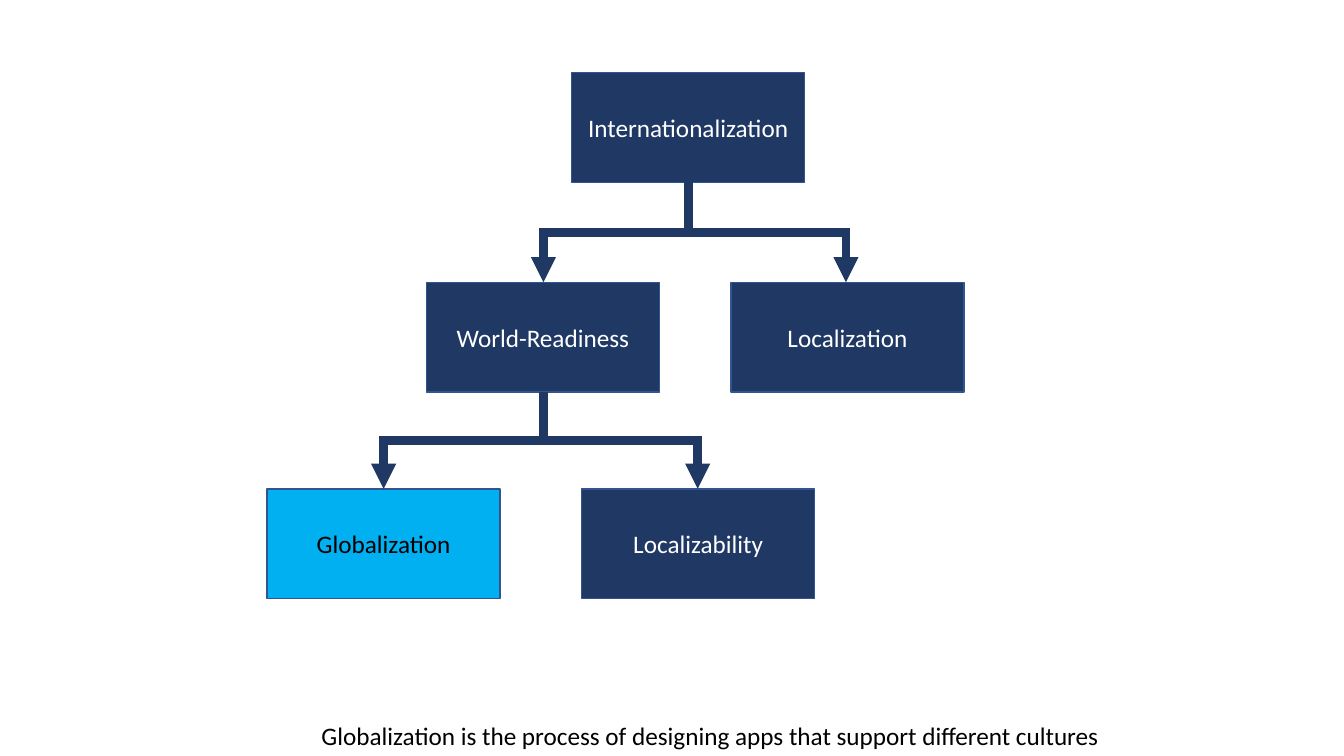
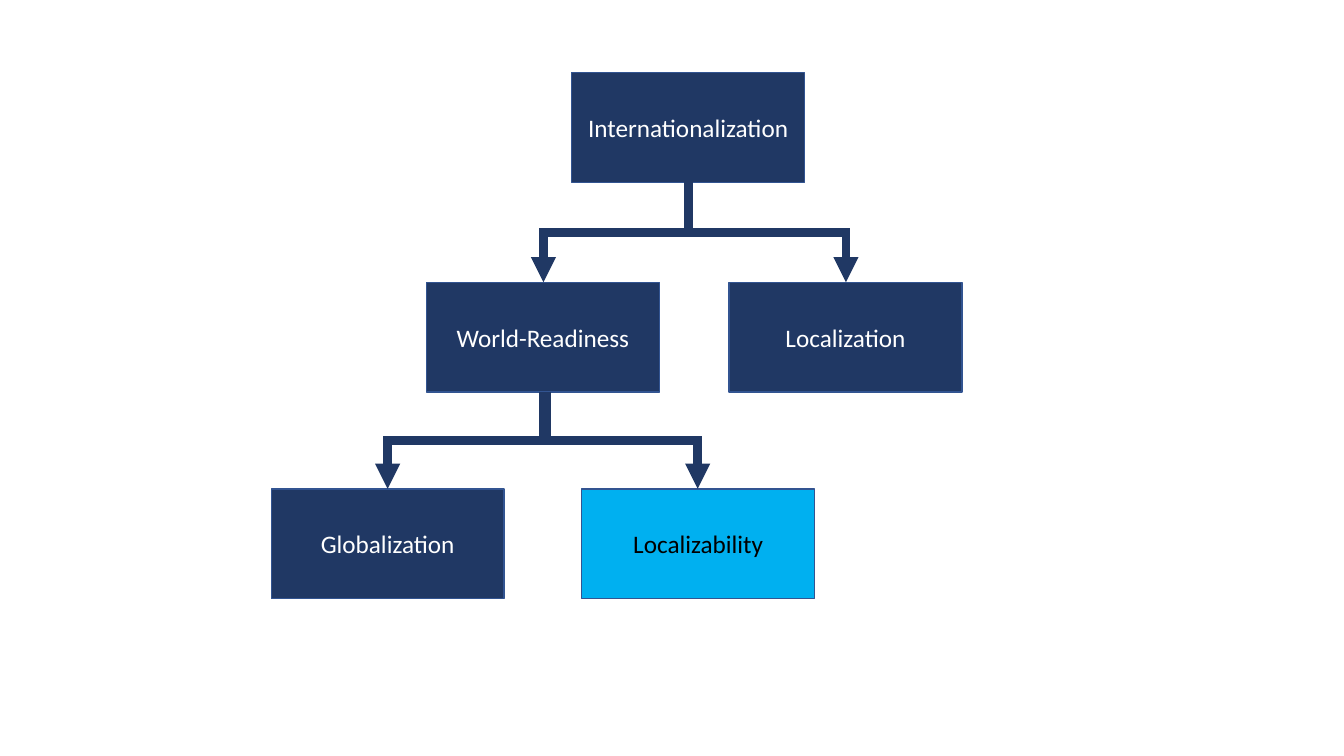
import dataclasses

import lxml.etree
import pptx
import pptx.dml.color
import pptx.enum.shapes
import pptx.enum.text
import pptx.oxml.ns
import pptx.presentation
import pptx.slide
import pptx.text.text
import pptx.util

Inches = pptx.util.Inches
Pt = pptx.util.Pt
RGBColor = pptx.dml.color.RGBColor

NAVY = RGBColor(0x20, 0x38, 0x64)
OUTLINE = RGBColor(0x32, 0x54, 0x91)
HIGHLIGHT = RGBColor(0x00, 0xB0, 0xF0)
WHITE = RGBColor(0xFF, 0xFF, 0xFF)
BLACK = RGBColor(0x00, 0x00, 0x00)

BOX_W, BOX_H = 2.31, 1.09
TOP_ROW, MIDDLE_ROW, BOTTOM_ROW = 0.72, 2.8, 4.85
TEXT_FORMAT = {"name": "Calibri", "size": Pt(18)}


@dataclasses.dataclass(frozen=True)
class Box:
    text: str
    left: float
    top: float


@dataclasses.dataclass(frozen=True)
class Link:
    start_x: float
    start_y: float
    end_x: float
    end_y: float


@dataclasses.dataclass(frozen=True)
class Chart:
    active: str
    globalization_left: float
    localization_left: float
    caption: str = ""

    def boxes(self) -> list[Box]:
        return [
            Box("Internationalization", 5.67, TOP_ROW),
            Box("Globalization", self.globalization_left, BOTTOM_ROW),
            Box("Localizability", 5.77, BOTTOM_ROW),
            Box("World-Readiness", 4.23, MIDDLE_ROW),
            Box("Localization", self.localization_left, MIDDLE_ROW),
        ]

    def links(self) -> list[Link]:
        top, middle = TOP_ROW + BOX_H, MIDDLE_ROW + BOX_H
        globalization_x = self.globalization_left + BOX_W / 2
        return [
            Link(6.83, top, 5.39, MIDDLE_ROW),
            Link(6.83, top, 8.39, MIDDLE_ROW),
            Link(globalization_x + 1.58, middle, globalization_x, BOTTOM_ROW),
            Link(5.39, middle, 6.92, BOTTOM_ROW),
        ]


CHARTS = [
    Chart("Globalization", 2.65, 7.25,
          "Globalization is the process of designing apps that support different cultures"),
    Chart("Localizability", 2.69, 7.23),
]


def write(tf: pptx.text.text.TextFrame, text: str, color: RGBColor) -> None:
    tf.word_wrap = True
    r = tf.paragraphs[0].add_run()
    r.text = text
    for name, value in TEXT_FORMAT.items():
        setattr(r.font, name, value)
    r.font.color.rgb = color


def draw_box(s: pptx.slide.Slide, box: Box, active: bool) -> None:
    sp = s.shapes.add_shape(
        pptx.enum.shapes.MSO_SHAPE.RECTANGLE,
        Inches(box.left), Inches(box.top), Inches(BOX_W), Inches(BOX_H))
    sp.shadow.inherit = False
    sp.fill.solid()
    sp.fill.fore_color.rgb = HIGHLIGHT if active else NAVY
    sp.line.color.rgb = OUTLINE
    sp.line.width = Pt(1)
    tf = sp.text_frame
    tf.vertical_anchor = pptx.enum.text.MSO_ANCHOR.MIDDLE
    tf.paragraphs[0].alignment = pptx.enum.text.PP_ALIGN.CENTER
    write(tf, box.text, BLACK if active else WHITE)


def draw_link(s: pptx.slide.Slide, link: Link) -> None:
    mid_x = (link.start_x + link.end_x) / 2
    mid_y = (link.start_y + link.end_y) / 2
    half_w = (link.end_y - link.start_y) / 2
    half_h = abs(link.end_x - link.start_x) / 2
    rightward = link.end_x > link.start_x
    if rightward:
        half_w = -half_w
    cx = s.shapes.add_connector(
        pptx.enum.shapes.MSO_CONNECTOR.ELBOW,
        Inches(mid_x - half_w), Inches(mid_y - half_h),
        Inches(mid_x + half_w), Inches(mid_y + half_h))
    cx.line.color.rgb = NAVY
    cx.line.width = Pt(6)
    sp_pr = cx._element.spPr
    sp_pr.xfrm.set("rot", str((270 if rightward else 90) * 60000))
    qn = pptx.oxml.ns.qn
    ln = sp_pr.find(qn("a:ln"))
    lxml.etree.SubElement(ln, qn("a:miter"), lim="800000")
    lxml.etree.SubElement(ln, qn("a:tailEnd"), type="triangle")
    lxml.etree.SubElement(sp_pr, qn("a:effectLst"))


def draw_caption(s: pptx.slide.Slide, text: str) -> None:
    sp = s.shapes.add_textbox(Inches(3.09), Inches(7.1), Inches(8.33), Inches(0.4))
    write(sp.text_frame, text, BLACK)
    sp.text_frame.auto_size = pptx.enum.text.MSO_AUTO_SIZE.SHAPE_TO_FIT_TEXT


def draw_chart(prs: pptx.presentation.Presentation, chart: Chart) -> None:
    s = prs.slides.add_slide(prs.slide_layouts[6])
    for box in chart.boxes():
        draw_box(s, box, box.text == chart.active)
    for link in chart.links():
        draw_link(s, link)
    if chart.caption:
        draw_caption(s, chart.caption)


def main() -> None:
    prs = pptx.Presentation()
    prs.slide_width = Inches(13.33)
    prs.slide_height = Inches(7.5)
    for chart in CHARTS:
        draw_chart(prs, chart)
    prs.save("out.pptx")


if __name__ == "__main__":
    main()
